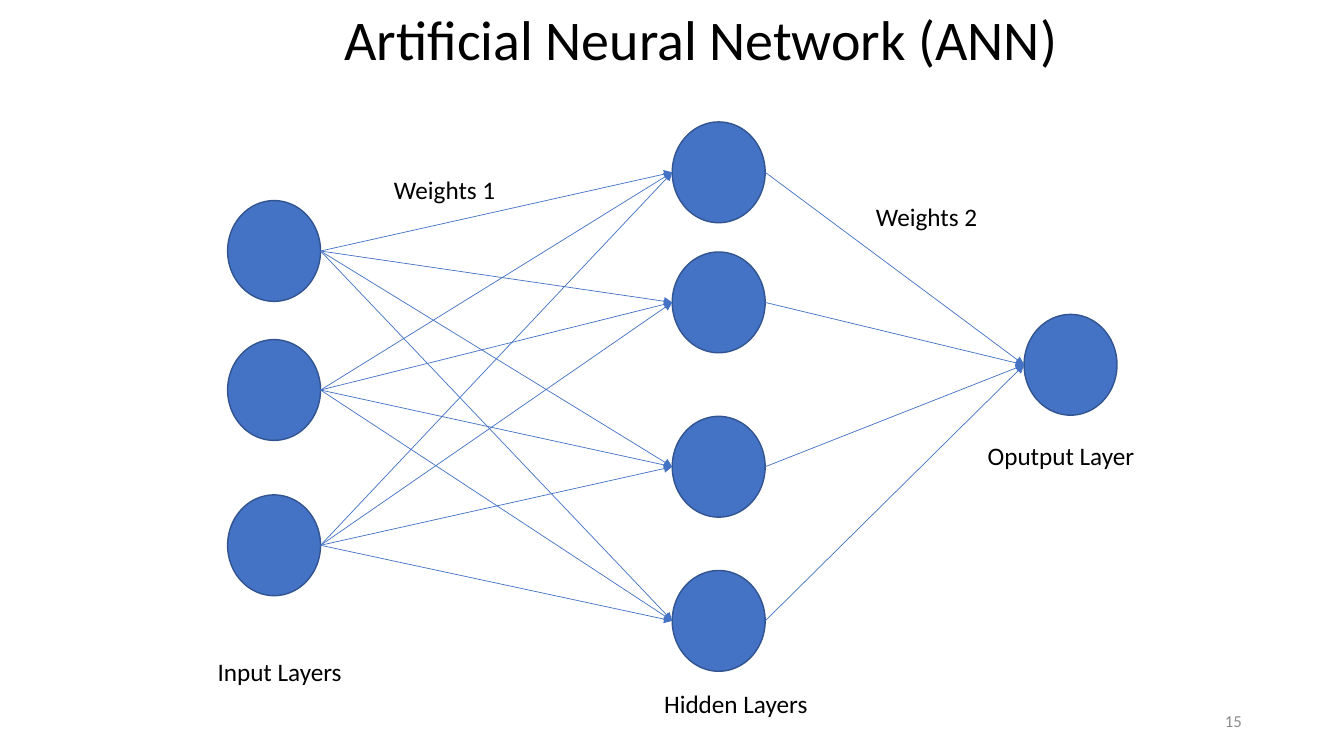
import itertools

import lxml.etree
import pptx
import pptx.dml.color
import pptx.enum.shapes
import pptx.enum.text
import pptx.oxml.ns
import pptx.util

Pt = pptx.util.Pt
ALIGN = pptx.enum.text.PP_ALIGN
ANCHOR = pptx.enum.text.MSO_ANCHOR

BLUE, DARK_BLUE, BLACK, GRAY = "4472C4", "325491", "000000", "8C8C8C"
NODE_W, NODE_H = 66.4, 72

# Each layer: left edge, then the top of each of its nodes
LAYERS = [
    (162.6, [143.3, 242.6, 353.5]),
    (480.2, [87.1, 180, 297.4, 407.5]),
    (731.5, [224.6]),
]

LABELS = [
    ("Weights 1", 274.3, 121, 94.3),
    ("Weights 2", 618.5, 140.4, 116.6),
    ("Input Layers", 148.3, 465.1, 112.3),
    ("Hidden Layers", 467.3, 487.8, 132.5),
    ("Oputput Layer", 698.4, 311, 132.5),
]


def rgb(value):
    return pptx.dml.color.RGBColor.from_string(value)


def add_text(slide, text, left, top, width, height, size=18, color=BLACK,
             align=ALIGN.LEFT, anchor=ANCHOR.TOP):
    box = slide.shapes.add_textbox(Pt(left), Pt(top), Pt(width), Pt(height))
    tf = box.text_frame
    tf.word_wrap = True
    tf.vertical_anchor = anchor
    p = tf.paragraphs[0]
    p.alignment = align
    r = p.add_run()
    r.text = text
    for name, value in {"name": "Calibri", "size": Pt(size)}.items():
        setattr(r.font, name, value)
    r.font.color.rgb = rgb(color)


def add_node(slide, left, top):
    sp = slide.shapes.add_shape(
        pptx.enum.shapes.MSO_SHAPE.FLOWCHART_CONNECTOR,
        Pt(left), Pt(top), Pt(NODE_W), Pt(NODE_H))
    sp.shadow.inherit = False
    sp.fill.solid()
    sp.fill.fore_color.rgb = rgb(BLUE)
    sp.line.color.rgb = rgb(DARK_BLUE)
    sp.line.width = Pt(1)


def add_arrow(slide, x1, y1, x2, y2):
    cxn = slide.shapes.add_connector(
        pptx.enum.shapes.MSO_CONNECTOR.STRAIGHT,
        Pt(x1), Pt(y1), Pt(x2), Pt(y2))
    cxn.line.color.rgb = rgb(BLUE)
    cxn.line.width = Pt(0.5)
    qn = pptx.oxml.ns.qn
    lxml.etree.SubElement(cxn.line._get_or_add_ln(), qn("a:tailEnd"),
                          type="triangle")
    lxml.etree.SubElement(cxn._element.spPr, qn("a:effectLst"))


def connect_layers(slide, source, target):
    """Draw an arrow from every source node to every target node."""
    (x1, tops1), (x2, tops2) = source, target
    for top1, top2 in itertools.product(tops1, tops2):
        add_arrow(slide, x1 + NODE_W, top1 + NODE_H / 2,
                  x2, top2 + NODE_H / 2)


def main():
    prs = pptx.Presentation()
    prs.slide_width, prs.slide_height = Pt(960), Pt(540)
    slide = prs.slides.add_slide(prs.slide_layouts[6])

    add_text(slide, "15", 678.2, 500.4, 216, 28.8, size=12, color=GRAY,
             align=ALIGN.RIGHT, anchor=ANCHOR.MIDDLE)
    add_text(slide, "Artificial Neural Network (ANN)", 239, 0, 567.4, 55.4,
             size=40)
    for left, tops in LAYERS:
        for top in tops:
            add_node(slide, left, top)
    for source, target in itertools.pairwise(LAYERS):
        connect_layers(slide, source, target)
    for text, left, top, width in LABELS:
        add_text(slide, text, left, top, width, 28.8)

    prs.save("out.pptx")


if __name__ == "__main__":
    main()
